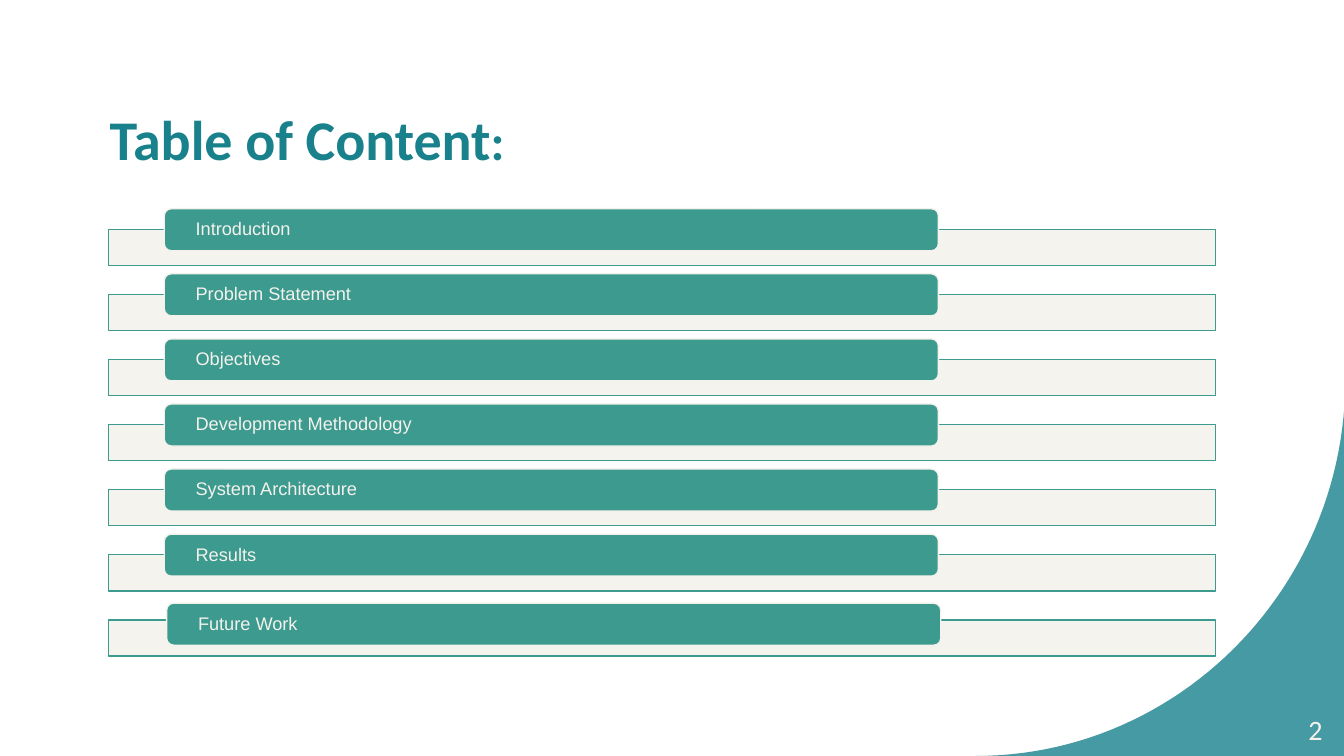
from dataclasses import dataclass

from lxml import etree
from pptx import Presentation
from pptx import util as u
from pptx.dml.color import RGBColor
from pptx.enum import shapes, text
from pptx.oxml import ns

TEAL = RGBColor(0x18, 0x81, 0x8C)
GREEN = RGBColor(0x3C, 0x9A, 0x8F)
CREAM = RGBColor(0xF4, 0xF2, 0xEC)

ROW_STEP = 1.64
CURVE_STEPS = 48
CURVE = ((24.59, 19.05), (29.41, 19.05), (33.4, 15.29), (33.86, 10.49))

TITLE_FORMAT = {"name": "Calibri", "size": u.Pt(40), "bold": True}
COLON_FORMAT = TITLE_FORMAT | {"size": u.Pt(36)}
ENTRY_FORMAT = {"name": "Arial", "size": u.Pt(13)}
NUMBER_FORMAT = {"name": "Calibri", "size": u.Pt(20)}


@dataclass(frozen=True)
class Entry:
    label: str
    shift_x: float = 0
    shift_y: float = 0


ENTRIES = (
    Entry("Introduction"),
    Entry("Problem Statement"),
    Entry("Objectives"),
    Entry("Development Methodology"),
    Entry("System Architecture"),
    Entry("Results"),
    Entry("Future Work", 0.06, 0.1),
)


def set_attributes(target: object, values: dict) -> None:
    for name, value in values.items():
        setattr(target, name, value)


def add_run(paragraph, content: str, values: dict, color: RGBColor) -> None:
    run = paragraph.add_run()
    run.text = content
    set_attributes(run.font, values)
    run.font.color.rgb = color


def set_opacity(shape, percent: int) -> None:
    color = shape.element.spPr.find(ns.qn("a:solidFill"))[0]
    etree.SubElement(color, ns.qn("a:alpha"), val=str(percent * 1000))


def add_box(slide, kind, left: float, top: float, width: float, height: float,
            fill: RGBColor, line: RGBColor):
    shape = slide.shapes.add_shape(kind, u.Cm(left), u.Cm(top), u.Cm(width), u.Cm(height))
    shape.shadow.inherit = False
    shape.fill.solid()
    shape.fill.fore_color.rgb = fill
    shape.line.color.rgb = line
    shape.line.width = u.Pt(1)
    return shape


def curve_point(t: float) -> tuple[int, int]:
    weights = ((1 - t) ** 3, 3 * t * (1 - t) ** 2, 3 * t ** 2 * (1 - t), t ** 3)
    x, y = (sum(w * point[axis] for w, point in zip(weights, CURVE)) for axis in (0, 1))
    return u.Cm(x), u.Cm(y)


def add_corner(slide) -> None:
    points = [curve_point(step / CURVE_STEPS) for step in range(CURVE_STEPS + 1)]
    points += [(u.Cm(33.87), u.Cm(10.36)), (u.Cm(33.87), u.Cm(19.05))]
    builder = slide.shapes.build_freeform(*points[0])
    builder.add_line_segments(points[1:], close=True)
    corner = builder.convert_to_shape()
    corner.shadow.inherit = False
    corner.fill.solid()
    corner.fill.fore_color.rgb = TEAL
    set_opacity(corner, 80)
    corner.line.fill.background()


def add_title(slide) -> None:
    title = slide.shapes.title
    set_attributes(title, {"left": u.Cm(2.51), "top": u.Cm(1.65),
                           "width": u.Cm(27.53), "height": u.Cm(3.68)})
    title.text_frame.vertical_anchor = text.MSO_ANCHOR.MIDDLE
    paragraph = title.text_frame.paragraphs[0]
    paragraph.alignment = text.PP_ALIGN.LEFT
    add_run(paragraph, "Table of Content", TITLE_FORMAT, TEAL)
    add_run(paragraph, ":", COLON_FORMAT, TEAL)


def add_entry(slide, entry: Entry, offset: float) -> None:
    bar = add_box(slide, shapes.MSO_SHAPE.RECTANGLE, 2.74, 5.78 + offset, 27.89, 0.91,
                  CREAM, GREEN)
    set_opacity(bar, 90)
    tab = add_box(slide, shapes.MSO_SHAPE.ROUNDED_RECTANGLE, 4.14 + entry.shift_x,
                  5.26 + offset + entry.shift_y, 19.51, 1.06, GREEN, CREAM)
    set_attributes(tab.text_frame, {
        "margin_left": u.Cm(0.74), "margin_right": u.Cm(0.74),
        "margin_top": 0, "margin_bottom": 0,
        "vertical_anchor": text.MSO_ANCHOR.MIDDLE, "word_wrap": True})
    paragraph = tab.text_frame.paragraphs[0]
    set_attributes(paragraph, {"alignment": text.PP_ALIGN.LEFT, "line_spacing": 0.9})
    add_run(paragraph, entry.label, ENTRY_FORMAT, CREAM)


def add_page_number(slide) -> None:
    box = slide.shapes.add_textbox(u.Cm(31.65), u.Cm(17.88), u.Cm(1.93), u.Cm(1.02))
    set_attributes(box.text_frame, {"word_wrap": True,
                                    "vertical_anchor": text.MSO_ANCHOR.MIDDLE})
    paragraph = box.text_frame.paragraphs[0]
    paragraph.alignment = text.PP_ALIGN.RIGHT
    add_run(paragraph, "2", NUMBER_FORMAT, CREAM)


def main() -> None:
    presentation = Presentation()
    presentation.slide_width = u.Cm(33.87)
    presentation.slide_height = u.Cm(19.05)
    slide = presentation.slides.add_slide(presentation.slide_layouts[5])
    add_corner(slide)
    add_title(slide)
    for row, entry in enumerate(ENTRIES):
        add_entry(slide, entry, row * ROW_STEP)
    add_page_number(slide)
    presentation.save("out.pptx")


if __name__ == "__main__":
    main()
